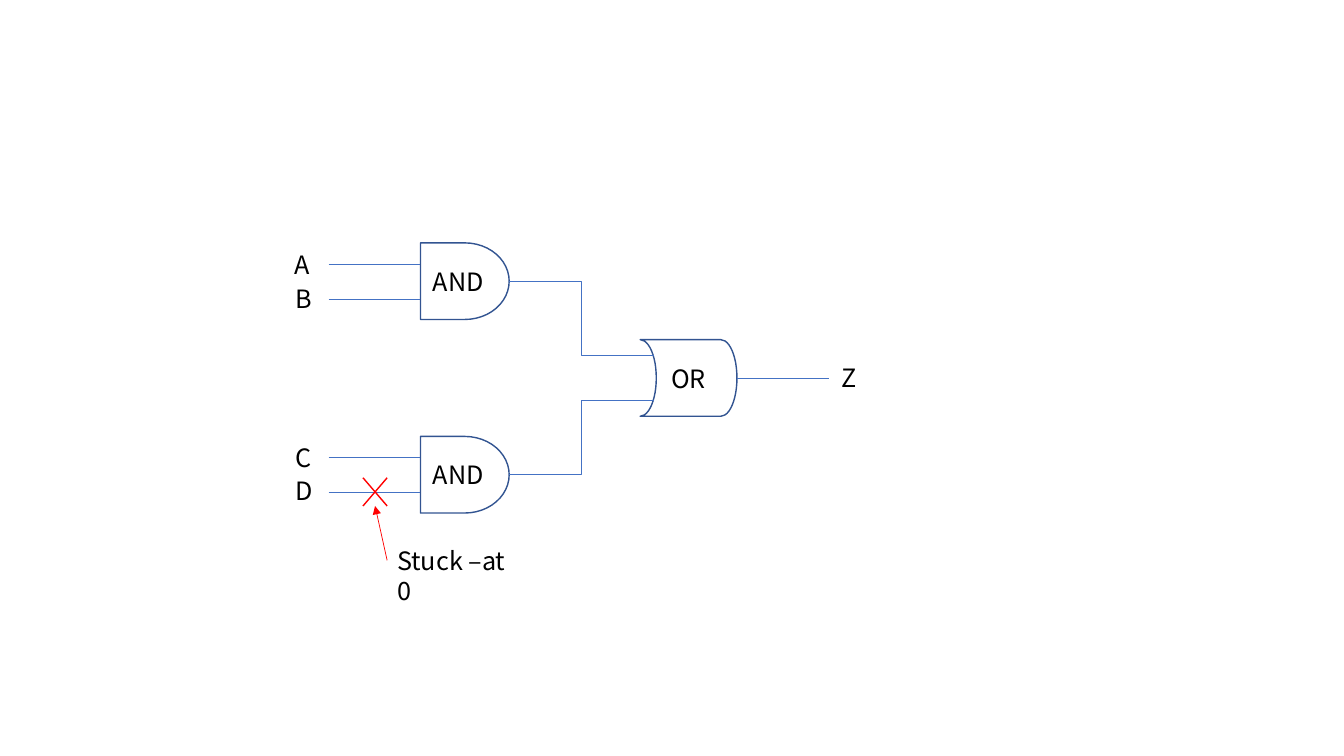
from dataclasses import dataclass
from typing import Any

from lxml.etree import SubElement
from pptx import Presentation
from pptx.dml.color import RGBColor
from pptx.enum.shapes import MSO_CONNECTOR, MSO_SHAPE
from pptx.enum.text import MSO_AUTO_SIZE, PP_ALIGN
from pptx.oxml.ns import qn
from pptx.util import Emu, Pt

EMU_PER_PX = 9144
BLACK, OUTLINE, WIRE, FAULT = "000000", "325491", "4472C4", "FF0000"
FONT_FORMAT = {"name": "Noto Sans CJK SC", "size": Pt(18)}


@dataclass(frozen=True)
class Gate:
    name: str
    left: int
    top: int
    width: int
    height: int = 76
    outline: MSO_SHAPE = MSO_SHAPE.FLOWCHART_DELAY
    mirrored: bool = False

    @property
    def right(self) -> int:
        return self.left + self.width

    @property
    def middle(self) -> int:
        return self.top + self.height // 2


@dataclass(frozen=True)
class Label:
    text: str
    left: int
    top: int
    width: int
    wraps: bool = False


@dataclass(frozen=True)
class Wire:
    start: tuple[int, int]
    end: tuple[int, int]
    color: str = WIRE
    weight: float = 0.5
    route: MSO_CONNECTOR = MSO_CONNECTOR.STRAIGHT
    arrow: bool = False


def px(length: int) -> Emu:
    return Emu(length * EMU_PER_PX)


def rgb(color: str) -> RGBColor:
    return RGBColor.from_string(color)


def apply_format(target: Any, values: dict[str, Any]) -> None:
    for attribute, value in values.items():
        setattr(target, attribute, value)


def write_text(frame: Any, text: str, align: PP_ALIGN) -> None:
    paragraph = frame.paragraphs[0]
    paragraph.alignment = align
    run = paragraph.add_run()
    run.text = text
    apply_format(run.font, FONT_FORMAT)
    run.font.color.rgb = rgb(BLACK)


def draw_gate(shapes: Any, gate: Gate) -> None:
    body = shapes.add_shape(
        gate.outline, px(gate.left), px(gate.top), px(gate.width), px(gate.height)
    )
    body.shadow.inherit = False
    body.fill.background()
    body.line.color.rgb = rgb(OUTLINE)
    body.line.width = Pt(1)
    if gate.mirrored:
        body.element.spPr.find(qn("a:xfrm")).set("flipH", "1")
    write_text(body.text_frame, gate.name, PP_ALIGN.CENTER)


def draw_wire(shapes: Any, wire: Wire) -> None:
    points = [px(value) for value in (*wire.start, *wire.end)]
    path = shapes.add_connector(wire.route, *points)
    path.line.color.rgb = rgb(wire.color)
    path.line.width = Pt(wire.weight)
    if wire.arrow:
        line = path.element.spPr.find(qn("a:ln"))
        SubElement(line, qn("a:tailEnd"), type="triangle")
    SubElement(path.element.spPr, qn("a:effectLst"))


def draw_label(shapes: Any, label: Label) -> None:
    box = shapes.add_textbox(px(label.left), px(label.top), px(label.width), px(40))
    frame_format = {
        "word_wrap": label.wraps,
        "auto_size": MSO_AUTO_SIZE.SHAPE_TO_FIT_TEXT,
    }
    apply_format(box.text_frame, frame_format)
    write_text(box.text_frame, label.text, PP_ALIGN.LEFT)


UPPER_AND = Gate("AND", 417, 241, 88)
LOWER_AND = Gate("AND", 417, 433, 88)
OR_GATE = Gate("OR", 635, 337, 96, outline=MSO_SHAPE.FLOWCHART_STORED_DATA, mirrored=True)
GATES = [UPPER_AND, LOWER_AND, OR_GATE]

LEAD = 91
INPUT_LEVELS = [262, 297, 454, 488]
OR_INPUTS = [(UPPER_AND, 353), (LOWER_AND, 397)]
WIRES = [
    *(
        Wire((gate.right, gate.middle), (649, level), route=MSO_CONNECTOR.ELBOW)
        for gate, level in OR_INPUTS
    ),
    *(
        Wire((UPPER_AND.left - LEAD, level), (UPPER_AND.left, level))
        for level in INPUT_LEVELS
    ),
    Wire((OR_GATE.right, OR_GATE.middle), (OR_GATE.right + LEAD, OR_GATE.middle)),
]

LABELS = [
    Label("A", 282, 242, 36),
    Label("B", 283, 276, 34),
    Label("C", 283, 434, 36),
    Label("D", 283, 467, 38),
    Label("Z", 825, 355, 35),
    Label("Stuck –at 0", 384, 536, 139, wraps=True),
]

FAULT_MARKS = [
    Wire((360, 474), (384, 502), FAULT, 1),
    Wire((360, 502), (384, 474), FAULT, 1),
    Wire((384, 556), (372, 502), FAULT, arrow=True),
]


def main() -> None:
    presentation = Presentation()
    apply_format(presentation, {"slide_width": px(1333), "slide_height": px(750)})
    shapes = presentation.slides.add_slide(presentation.slide_layouts[6]).shapes
    for gate in GATES:
        draw_gate(shapes, gate)
    for wire in WIRES:
        draw_wire(shapes, wire)
    for label in LABELS:
        draw_label(shapes, label)
    for mark in FAULT_MARKS:
        draw_wire(shapes, mark)
    presentation.save("out.pptx")


if __name__ == "__main__":
    main()
